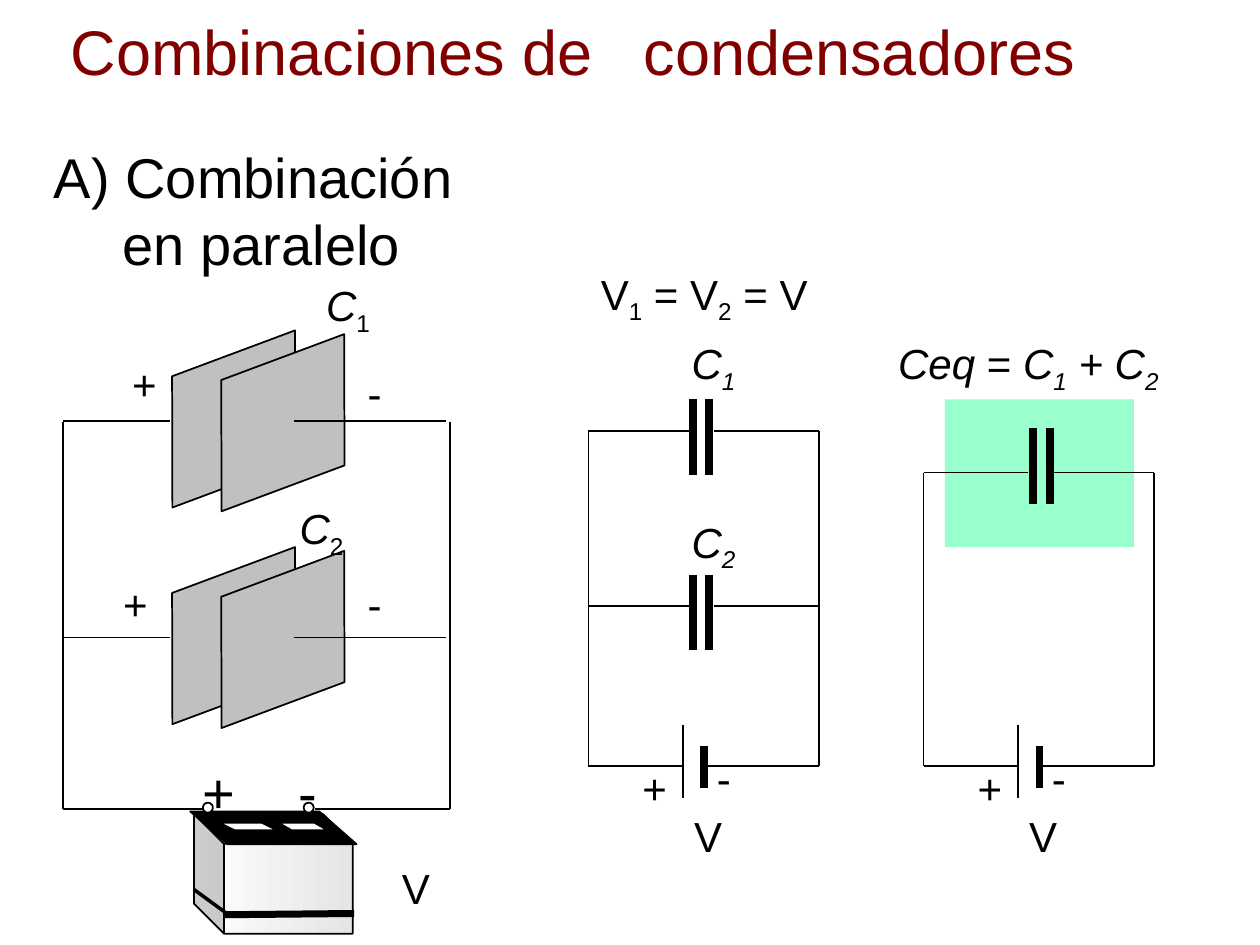
from lxml import etree
from pptx import Presentation
from pptx.dml.color import RGBColor
from pptx.enum import shapes as kinds, text as t
from pptx.oxml.ns import qn
from pptx.util import Inches, Pt

BLACK = RGBColor(0, 0, 0)
WHITE = RGBColor(255, 255, 255)
MAROON = RGBColor(0x80, 0, 0)
GRAY = RGBColor(0xC0, 0xC0, 0xC0)
PALE_GRAY = RGBColor(0xE5, 0xE5, 0xE5)
MINT = RGBColor(0x99, 0xFF, 0xCC)
KIND = kinds.MSO_SHAPE


def add_line(container, x1, y1, x2, y2, width):
    line = container.shapes.add_connector(
        kinds.MSO_CONNECTOR.STRAIGHT, Inches(x1), Inches(y1), Inches(x2), Inches(y2))
    line.line.color.rgb = BLACK
    line.line.width = Pt(width)
    etree.SubElement(line.element.spPr, qn("a:effectLst"))


def add_label(container, left, top, width, height, runs, size=24):
    box = container.shapes.add_textbox(Inches(left), Inches(top), Inches(width), Inches(height))
    box.text_frame.word_wrap = False
    paragraph = box.text_frame.paragraphs[0]
    paragraph.font.name = "Arial"
    paragraph.font.size = Pt(size)
    paragraph.font.color.rgb = BLACK
    for words, style in runs:
        run = paragraph.add_run()
        run.text = words
        if "italic" in style:
            run.font.italic = True
        if "sub" in style:
            run.font._element.set("baseline", "-25000")


presentation = Presentation()
presentation.slide_width, presentation.slide_height = Inches(10), Inches(7.5)
slide = presentation.slides.add_slide(presentation.slide_layouts[5])

title = slide.shapes.title
title.left, title.top, title.width, title.height = (Inches(v) for v in (0.46, 0.05, 8.18, 0.7))
title.text_frame.text = "Combinaciones de\tcondensadores"
title.text_frame.word_wrap = False
title.text_frame.auto_size = t.MSO_AUTO_SIZE.NONE
title.text_frame.vertical_anchor = t.MSO_ANCHOR.TOP
paragraph = title.text_frame.paragraphs[0]
paragraph.alignment = t.PP_ALIGN.LEFT
tabs = etree.SubElement(paragraph._p.get_or_add_pPr(), qn("a:tabLst"))
etree.SubElement(tabs, qn("a:tab"), pos=str(Inches(4.55)), algn="l")
paragraph.font.name = "Arial"
paragraph.font.size = Pt(36)
paragraph.font.color.rgb = MAROON

heading = slide.shapes.add_textbox(Inches(0.33), Inches(1.08), Inches(3.49), Inches(1.17))
heading.text_frame.text = "A) Combinación\nen paralelo"
heading.text_frame.word_wrap = True
for paragraph, alignment in zip(heading.text_frame.paragraphs,
                                (t.PP_ALIGN.LEFT, t.PP_ALIGN.CENTER)):
    paragraph.alignment = alignment
    paragraph.font.name = "Arial"
    paragraph.font.size = Pt(32)
    paragraph.font.color.rgb = BLACK

for number, wire_y, label_left, label_top, plus_left, plus_top, minus_top in (
        ("1", 3.34, 2.49, 2.17, 0.95, 2.8, 2.87),
        ("2", 5.06, 2.28, 3.94, 0.88, 4.54, 4.54)):
    for left, top in ((1.26, wire_y - 0.87), (1.65, wire_y - 0.84)):
        plate = slide.shapes.add_shape(
            KIND.DIAMOND, Inches(left), Inches(top), Inches(1.19), Inches(1.71))
        plate.rotation = 34.7
        plate.shadow.inherit = False
        plate.fill.solid()
        plate.fill.fore_color.rgb = GRAY
        plate.line.color.rgb = BLACK
        plate.line.width = Pt(1)
    add_line(slide, 3.54, wire_y, 2.33, wire_y, 1)
    add_line(slide, 0.5, wire_y, 1.35, wire_y, 1)
    add_label(slide, label_left, label_top, 0.55, 0.56, [("C", "italic"), (number, "sub")])
    add_label(slide, plus_left, plus_top, 0.4, 0.5, [("+", "")])
    add_label(slide, 2.82, minus_top, 0.31, 0.5, [("-", "")])

for wire_x, terminal_x in ((0.5, 1.61), (3.57, 2.5)):
    add_line(slide, wire_x, 3.35, wire_x, 6.42, 1)
    add_line(slide, wire_x, 6.42, terminal_x, 6.42, 1)

battery = slide.shapes.add_group_shape()
for kind, left, top, width, height, adjustment, color in (
        (KIND.CUBE, 1.54, 6.46, 1.26, 0.95, 0.25, None),
        (KIND.PARALLELOGRAM, 1.51, 6.44, 1.32, 0.26, 1.14, BLACK),
        (KIND.PARALLELOGRAM, 1.74, 6.53, 0.46, 0.06, 2.05, WHITE),
        (KIND.PARALLELOGRAM, 2.21, 6.53, 0.39, 0.06, 1.75, WHITE),
        (KIND.OVAL, 1.61, 6.37, 0.08, 0.08, None, WHITE),
        (KIND.OVAL, 2.41, 6.37, 0.08, 0.08, None, WHITE)):
    part = battery.shapes.add_shape(
        kind, Inches(left), Inches(top), Inches(width), Inches(height))
    part.shadow.inherit = False
    part.line.color.rgb = BLACK
    part.line.width = Pt(1)
    if adjustment:
        part.adjustments[0] = adjustment
        part.element.spPr.xfrm.set("flipH", "1")
    if color is None:
        part.fill.gradient()
        part.fill.gradient_angle = 0
        for stop, stop_color in zip(part.fill.gradient_stops, (PALE_GRAY, WHITE)):
            stop.color.rgb = stop_color
    else:
        part.fill.solid()
        part.fill.fore_color.rgb = color
add_line(battery, 1.78, 7.26, 2.81, 7.25, 4)
add_line(battery, 1.54, 7.06, 1.8, 7.25, 2)
add_label(battery, 1.51, 5.96, 0.46, 0.63, [("+", "")], 32)
add_label(battery, 2.27, 5.96, 0.35, 0.63, [("-", "")], 32)
add_label(slide, 3.09, 6.8, 0.42, 0.5, [("V", "")])

parallel = slide.shapes.add_group_shape()
equivalent = slide.shapes.add_group_shape()
highlight = equivalent.shapes.add_shape(
    KIND.RECTANGLE, Inches(7.5), Inches(3.17), Inches(1.5), Inches(1.17))
highlight.shadow.inherit = False
highlight.fill.solid()
highlight.fill.fore_color.rgb = MINT
highlight.line.fill.background()

for circuit, left, wires, plate_offset, plate_rise in (
        (parallel, 4.67, (3.42, 4.81), 0.83, 0.25),
        (equivalent, 7.33, (3.75,), 0.87, 0.35)):
    right = left + 1.83
    for wire_y in wires:
        for plate_x in (left + plate_offset, left + plate_offset + 0.13):
            add_line(circuit, plate_x, wire_y - plate_rise, plate_x, wire_y - plate_rise + 0.6, 4.5)
        add_line(circuit, left, wire_y, left + 0.83, wire_y, 0.75)
        add_line(circuit, left + 1, wire_y, right, wire_y, 0.75)
    for side in (left, right):
        add_line(circuit, side, wires[0], side, 6.08, 0.75)
    add_line(circuit, left + 0.75, 5.75, left + 0.75, 6.33, 0.75)
    add_line(circuit, left + 0.92, 5.92, left + 0.92, 6.25, 4.5)
    add_line(circuit, left, 6.08, left + 0.75, 6.08, 0.75)
    add_line(circuit, left + 0.92, 6.08, right, 6.08, 0.75)
    add_label(circuit, left + 0.74, 6.38, 0.42, 0.5, [("V", "")])
    add_label(circuit, left + 0.33, 6, 0.39, 0.5, [("+", "")])
    add_label(circuit, left + 0.92, 5.92, 0.31, 0.5, [("-", "")])

for number, top in (("1", 2.63), ("2", 4.05)):
    add_label(parallel, 5.39, top, 0.55, 0.56, [("C", "italic"), (number, "italic sub")])
add_label(parallel, 4.67, 2.08, 1.9, 0.56,
          [("V", ""), ("1", "sub"), (" = V", ""), ("2", "sub"), (" = V", "")])
add_label(equivalent, 7.03, 2.63, 2.4, 0.56,
          [("Ceq", "italic"), (" = ", ""), ("C", "italic"), ("1", "italic sub"),
           (" + C", "italic"), ("2", "italic sub")])

presentation.save("out.pptx")
